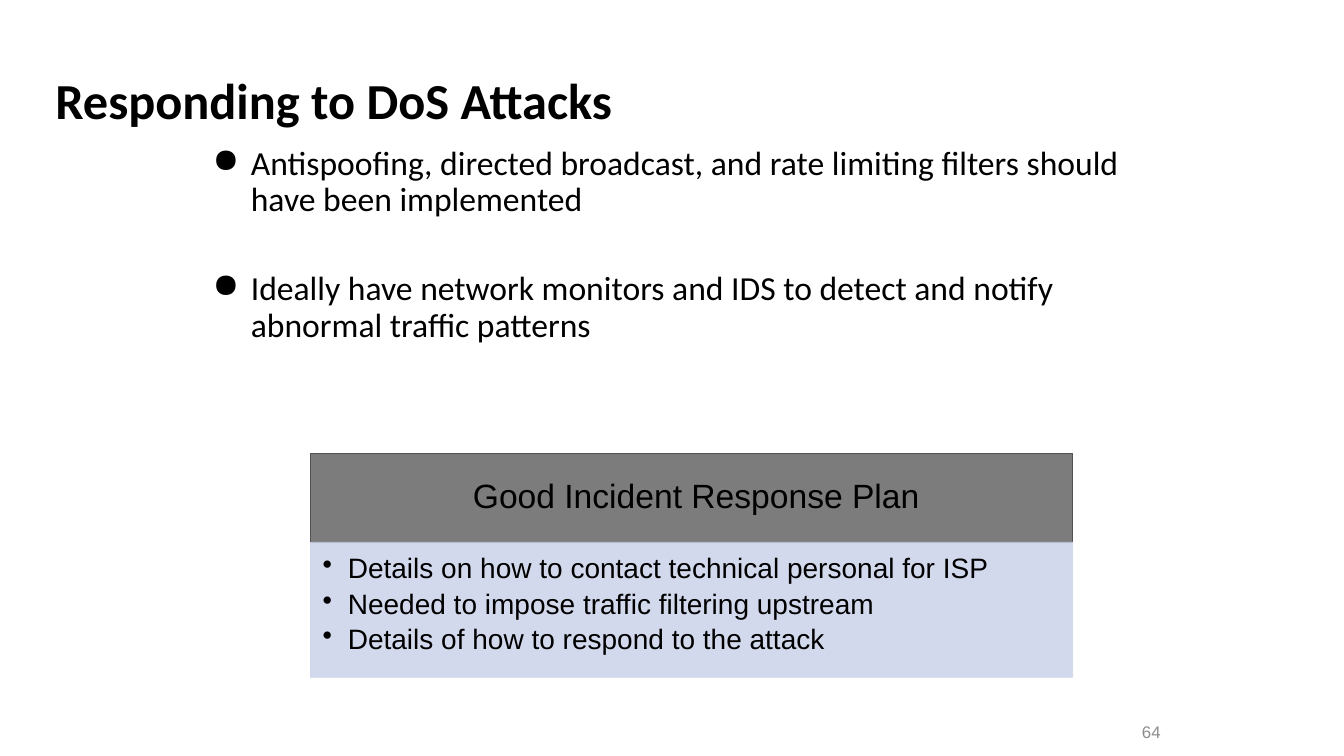
from pptx import Presentation
from pptx.dml.color import RGBColor
from pptx.enum.shapes import MSO_SHAPE as Shape
from pptx.enum.text import MSO_ANCHOR as Anchor, PP_ALIGN as Align
from pptx.oxml.xmlchemy import OxmlElement
from pptx.util import Inches, Pt

COLORS = {"text": "000000", "number": "8C8C8C", "header": "7C7C7C",
          "border": "525252", "panel": "CFD5EA"}
TITLE = "Responding to DoS Attacks"
MEASURES = [
    "Antispoofing, directed broadcast, and rate limiting filters should have been implemented",
    "Ideally have network monitors and IDS to detect and notify abnormal traffic patterns",
]
PLAN_TITLE = "Good Incident Response Plan"
PLAN_STEPS = [
    "Details on how to contact technical personal for ISP",
    "Needed to impose traffic filtering upstream",
    "Details of how to respond to the attack",
]
SLIDE_NUMBER = "64"

PLAN_LEFT, PLAN_TOP, PLAN_WIDTH = 3.08, 4.5, 7.56
HEADER_HEIGHT, PANEL_HEIGHT = 0.88, 1.34
PANEL_OPACITY = 90

TITLE_FORMAT = {"size": Pt(36), "name": "Calibri", "bold": True}
MEASURE_FORMAT = {"size": Pt(24), "name": "Calibri"}
HEADER_FORMAT = {"size": Pt(24), "name": "Arial"}
STEP_FORMAT = {"size": Pt(20), "name": "Arial"}
NUMBER_FORMAT = {"size": Pt(12), "name": "Arial"}


def color(name):
    return RGBColor.from_string(COLORS[name])


def add_bullet(paragraph, character, indent):
    properties = paragraph._p.get_or_add_pPr()
    properties.set("marL", str(Inches(indent)))
    properties.set("indent", str(-Inches(indent)))
    bullet = OxmlElement("a:buChar")
    bullet.set("char", character)
    properties.append(bullet)


def write(shape, lines, font_format, insets, text_color="text", anchor=Anchor.TOP,
          bullet=None, indent=0, **paragraph_format):
    frame = shape.text_frame
    frame.word_wrap = True
    frame.vertical_anchor = anchor
    for side, inset in zip(("left", "top", "right", "bottom"), insets):
        setattr(frame, f"margin_{side}", Inches(inset))
    for index, line in enumerate(lines):
        paragraph = frame.add_paragraph() if index else frame.paragraphs[0]
        for name, value in paragraph_format.items():
            setattr(paragraph, name, value)
        if bullet:
            add_bullet(paragraph, bullet, indent)
        run = paragraph.add_run()
        run.text = line
        for name, value in font_format.items():
            setattr(run.font, name, value)
        run.font.color.rgb = color(text_color)


def add_text(slide, box, *args, **kwargs):
    write(slide.shapes.add_textbox(*map(Inches, box)), *args, **kwargs)


def add_block(slide, top, height, fill, line):
    box = (PLAN_LEFT, top, PLAN_WIDTH, height)
    shape = slide.shapes.add_shape(Shape.RECTANGLE, *map(Inches, box))
    shape.shadow.inherit = False
    shape.fill.solid()
    shape.fill.fore_color.rgb = color(fill)
    shape.line.color.rgb = color(line)
    shape.line.width = Pt(0.5)
    return shape


def set_opacity(shape, percent):
    for value in shape._element.spPr.xpath(".//a:srgbClr"):
        alpha = OxmlElement("a:alpha")
        alpha.set("val", str(percent * 1000))
        value.append(alpha)


def main():
    presentation = Presentation()
    presentation.slide_width = Inches(13.33)
    presentation.slide_height = Inches(7.5)
    slide = presentation.slides.add_slide(presentation.slide_layouts[6])

    even = (0.1, 0.1, 0.1, 0.1)
    add_text(slide, (0.45, 0.65, 12.42, 0.84), [TITLE], TITLE_FORMAT, even,
             line_spacing=0.9)
    add_text(slide, (10.93, 7.18, 0.68, 0.15), [SLIDE_NUMBER], NUMBER_FORMAT,
             (0.1, 0.05, 0.1, 0.05), "number", Anchor.MIDDLE, alignment=Align.RIGHT)
    add_text(slide, (2.01, 1.35, 9.32, 5.6), MEASURES, MEASURE_FORMAT, even,
             bullet="●", indent=0.38, line_spacing=0.9, space_after=Pt(38))

    header = add_block(slide, PLAN_TOP, HEADER_HEIGHT, "header", "border")
    write(header, [PLAN_TITLE], HEADER_FORMAT, (0.28, 0.11, 0.19, 0.11),
          anchor=Anchor.MIDDLE, alignment=Align.CENTER, line_spacing=0.9)
    panel = add_block(slide, PLAN_TOP + HEADER_HEIGHT, PANEL_HEIGHT, "panel", "panel")
    set_opacity(panel, PANEL_OPACITY)
    write(panel, PLAN_STEPS, STEP_FORMAT, (0.12, 0.12, 0.16, 0.17), bullet="•",
          indent=0.25, alignment=Align.LEFT, line_spacing=0.9, space_after=Pt(3.8))

    presentation.save("out.pptx")


if __name__ == "__main__":
    main()
